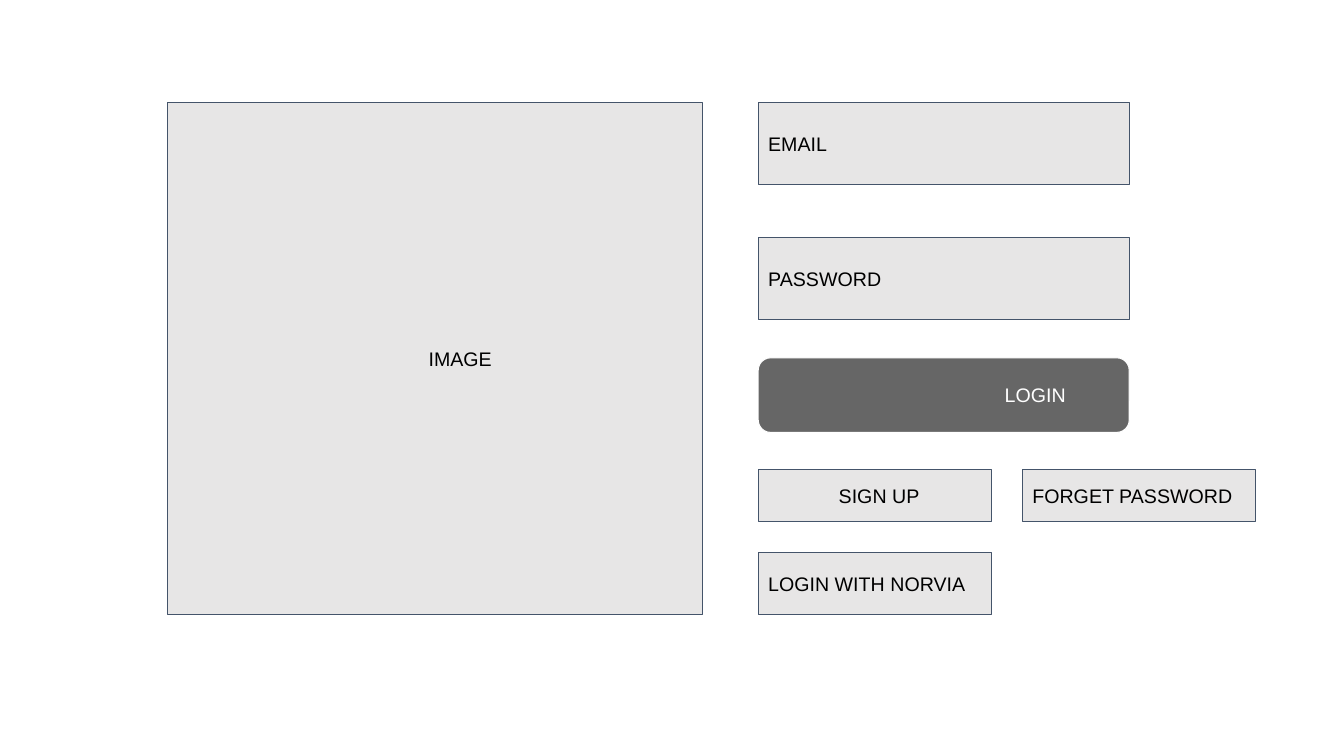
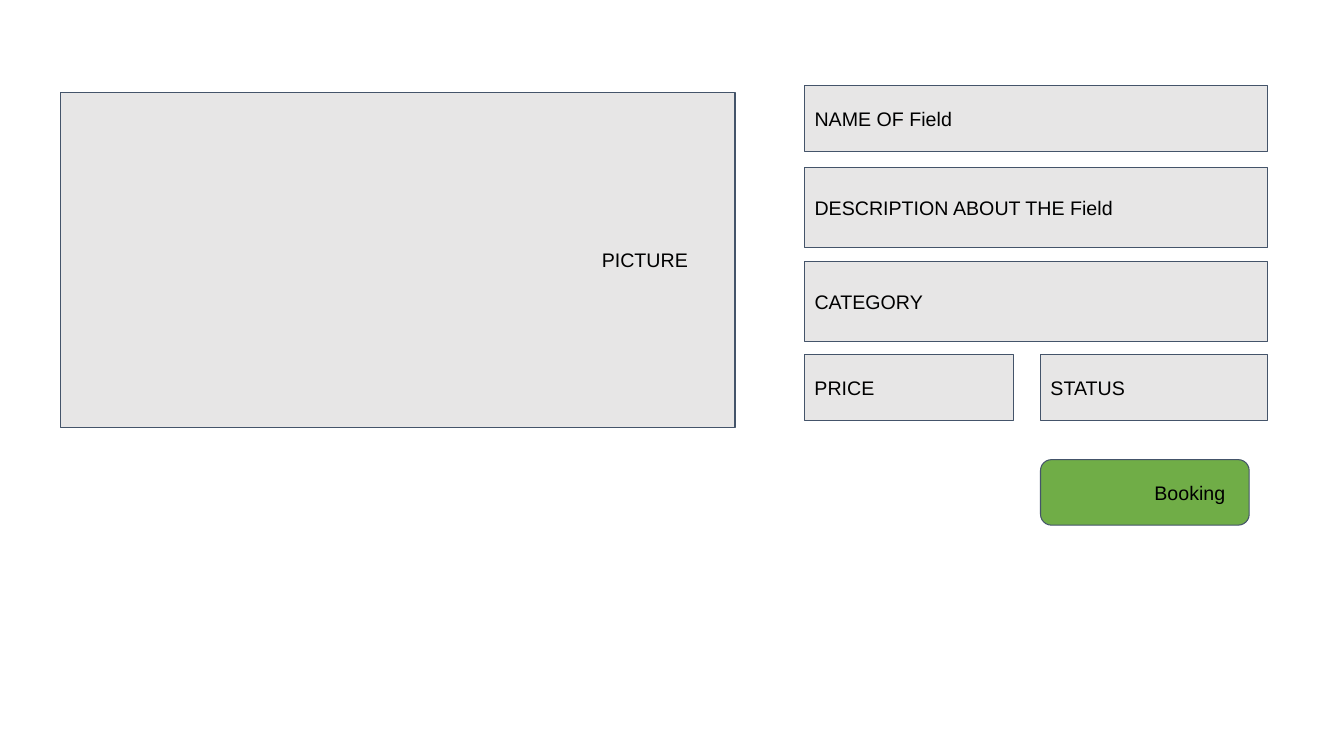
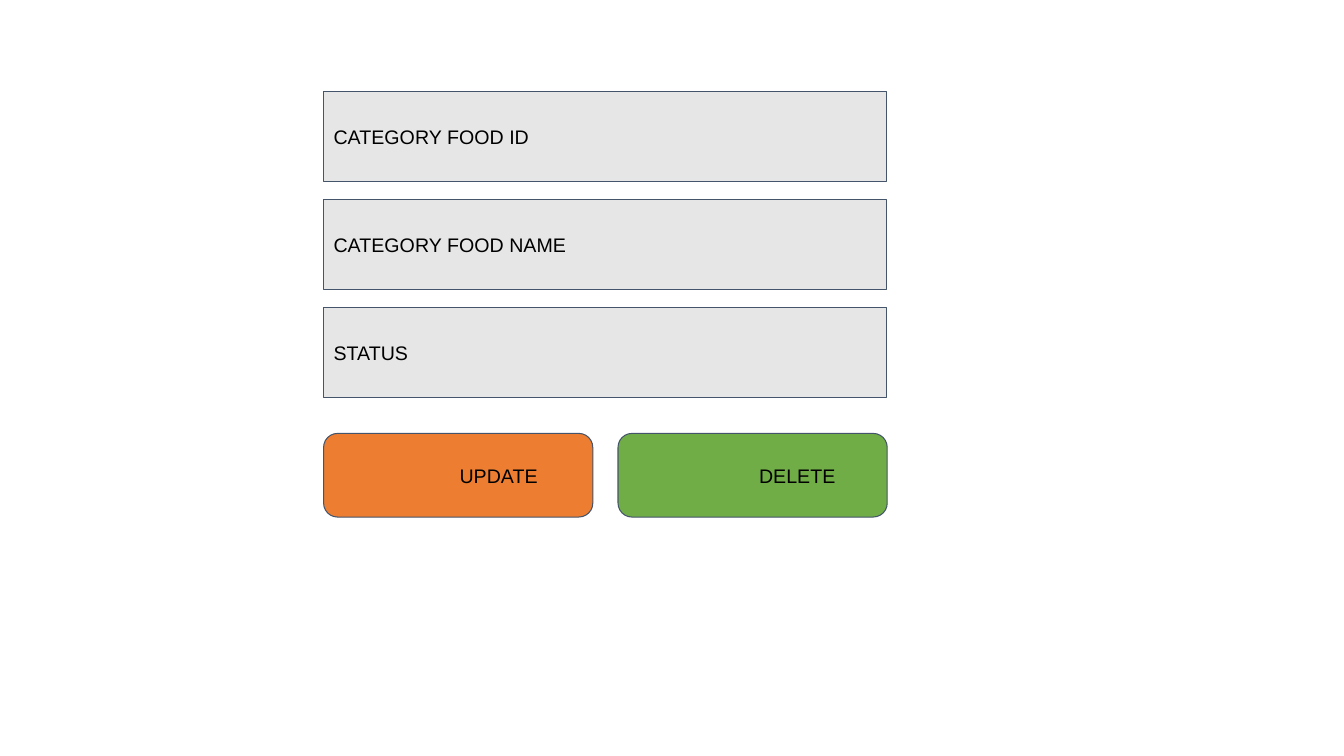
from pptx import Presentation
from pptx.dml.color import RGBColor
from pptx.enum import shapes, text
from pptx.util import Inches, Pt

FONT, SIZE = "Arial", 14
PANEL, OUTLINE, INK, WHITE = "E7E6E6", "44546A", "000000", "FFFFFF"
GREY, GREEN, ORANGE = "666666", "70AD47", "ED7D31"


def color(value):
    return RGBColor.from_string(value)


def write(shape, words, ink=INK, indent=0, align=text.PP_ALIGN.LEFT):
    frame = shape.text_frame
    frame.word_wrap = True
    frame.vertical_anchor = text.MSO_ANCHOR.MIDDLE
    for side in ("left", "top", "right", "bottom"):
        setattr(frame, f"margin_{side}", Inches(0.1))
    para = frame.paragraphs[0]
    para.alignment = align
    if indent:
        properties = para._p.get_or_add_pPr()
        properties.set("marL", str(Inches(indent)))
        properties.set("indent", "0")
    span = para.add_run()
    span.text = words
    span.font.name, span.font.size = FONT, Pt(SIZE)
    span.font.color.rgb = color(ink)


def add_panel(page, box, words, fill=PANEL, line=OUTLINE, rounded=False, **style):
    """Add a labelled rectangle; box is left, top, width, height in inches."""
    kind = shapes.MSO_SHAPE.ROUNDED_RECTANGLE if rounded else shapes.MSO_SHAPE.RECTANGLE
    panel = page.shapes.add_shape(kind, *map(Inches, box))
    panel.shadow.inherit = False
    panel.fill.solid()
    panel.fill.fore_color.rgb = color(fill)
    panel.line.color.rgb = color(line)
    panel.line.width = Pt(0.75)
    write(panel, words, **style)


def add_button(page, box, words, fill, **style):
    add_panel(page, box, words, fill=fill, rounded=True, **style)


def add_fields(page, box, pitch, labels):
    """Stack equal fields; box is the first one."""
    left, top, width, height = box
    for row, label in enumerate(labels):
        add_panel(page, (left, top + row * pitch, width, height), label)


def login_form(page, left, top):
    width, half, gap = 3.68, 2.31, 0.31
    add_fields(page, (left, top, width, 0.81), 1.34, ["EMAIL", "PASSWORD"])
    add_button(page, (left, top + 2.53, width, 0.74), "LOGIN", GREY,
               line=WHITE, ink=WHITE, indent=2.31)
    links = top + 3.64
    add_panel(page, (left, links, half, 0.51), "SIGN UP", indent=0.7)
    add_panel(page, (left + half + gap, links, half, 0.51), "FORGET PASSWORD")
    add_panel(page, (left, top + 4.46, half, 0.62), "LOGIN WITH NORVIA")


def field_details(page, left, top):
    width, low, tall, gap = 4.59, 0.65, 0.8, 0.13
    add_panel(page, (left, top, width, low), "NAME OF Field")
    add_fields(page, (left, top + 0.81, width, tall), tall + gap,
               ["DESCRIPTION ABOUT THE Field", "CATEGORY"])
    bottom, second, short = top + 2.67, left + 2.34, 2.07
    add_panel(page, (left, bottom, short, low), "PRICE")
    add_panel(page, (second, bottom, left + width - second, low), "STATUS")
    add_button(page, (second, top + 3.71, short, low), "Booking", GREEN, indent=1)


def category_form(page, left, top):
    add_fields(page, (left, top, 5.58, 0.89), 1.07,
               ["CATEGORY FOOD ID", "CATEGORY FOOD NAME", "STATUS"])
    buttons = [("UPDATE", ORANGE, 1.21), ("DELETE", GREEN, 1.26)]
    for column, (words, fill, indent) in enumerate(buttons):
        add_button(page, (left + column * 2.92, top + 3.39, 2.67, 0.83),
                   words, fill, indent=indent)


def main():
    deck = Presentation()
    deck.slide_width, deck.slide_height = Inches(13.33), Inches(7.5)
    login, details, category = (
        deck.slides.add_slide(deck.slide_layouts[6]) for _ in range(3))

    login_form(login, 7.52, 1.02)
    add_panel(login, (1.66, 1.02, 5.31, 5.08), "IMAGE",
              indent=0.5, align=text.PP_ALIGN.CENTER)

    add_panel(details, (0.6, 0.92, 6.69, 3.32), "PICTURE", indent=5.27)
    field_details(details, 7.98, 0.85)

    category_form(category, 3.21, 0.91)
    deck.save("out.pptx")


if __name__ == "__main__":
    main()
